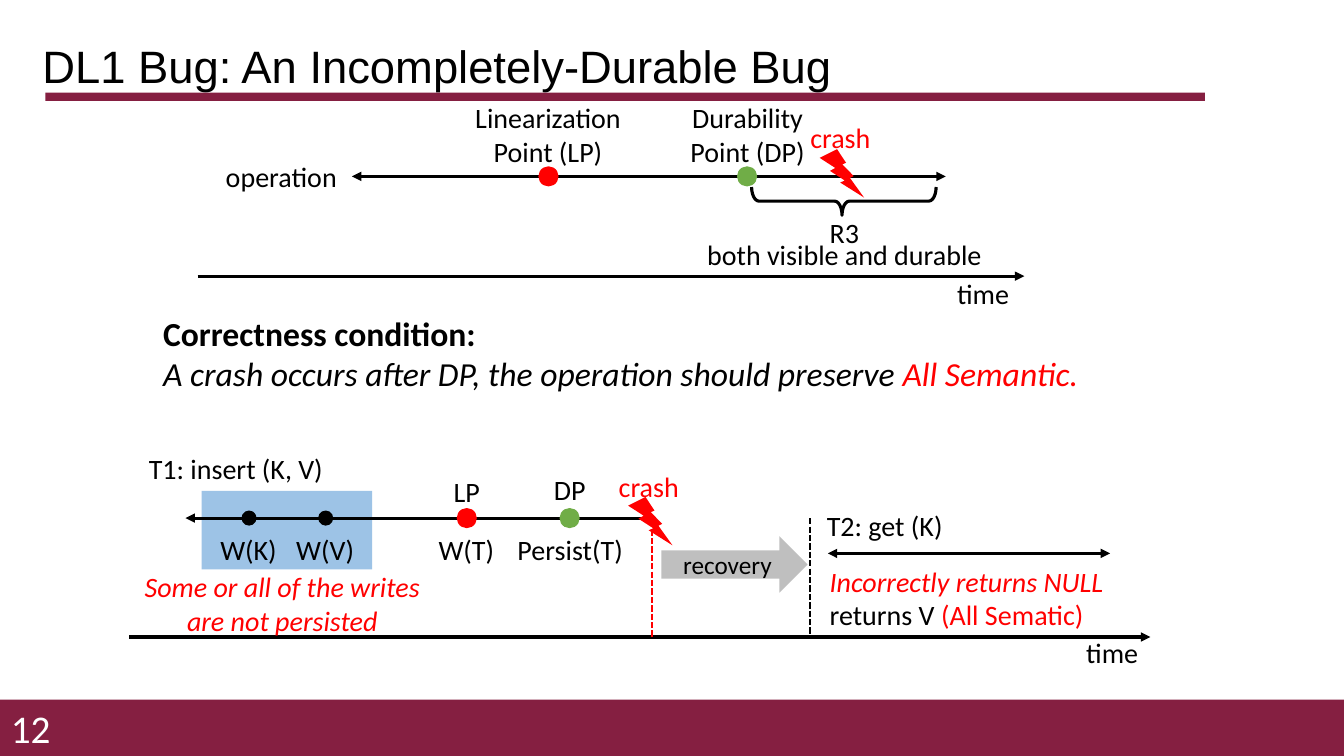
from dataclasses import dataclass

from pptx import Presentation
from pptx.dml.color import RGBColor
from pptx.enum.dml import MSO_LINE
from pptx.enum.shapes import MSO_CONNECTOR, MSO_SHAPE
from pptx.enum.text import MSO_ANCHOR, MSO_AUTO_SIZE, PP_ALIGN
from pptx.oxml.ns import qn
from pptx.util import Inches, Pt
from lxml.etree import SubElement

MAROON = RGBColor(0x85, 0x1F, 0x41)
BLACK = RGBColor(0, 0, 0)
WHITE = RGBColor(0xFF, 0xFF, 0xFF)
RED = RGBColor(0xFF, 0, 0)
GREEN = RGBColor(0x70, 0xAD, 0x47)
BLUE = RGBColor(0x9D, 0xC3, 0xE6)
GRAY = RGBColor(0xBF, 0xBF, 0xBF)

OPERATION_Y, INSERT_Y, GET_Y = 1.75, 5.14, 5.49
TIME_TOP_Y, TIME_BOTTOM_Y = 2.74, 6.32
LABEL_HEIGHT, TWO_LINE_HEIGHT = 0.44, 0.77
WRITE_Y = 5.23


@dataclass
class Span:
    text: str
    color: RGBColor = BLACK
    bold: bool = False
    italic: bool = False


@dataclass
class Label:
    spans: list[Span]
    left: float
    top: float
    width: float
    height: float = LABEL_HEIGHT
    align: PP_ALIGN = PP_ALIGN.CENTER


@dataclass
class Block:
    kind: MSO_SHAPE
    left: float
    top: float
    width: float
    height: float
    fill: RGBColor


@dataclass
class Line:
    start: tuple[float, float]
    end: tuple[float, float]
    head: bool = False
    tail: bool = False
    color: RGBColor = BLACK
    dashed: bool = False


def dot(center_x: float, center_y: float, size: float, fill: RGBColor) -> Block:
    return Block(MSO_SHAPE.OVAL, center_x - size / 2, center_y - size / 2, size, size, fill)


def write_paragraph(para, spans: list[Span], size: float,
                    align: PP_ALIGN = PP_ALIGN.LEFT, font: str = "Calibri") -> None:
    para.alignment = align
    for span in spans:
        run = para.add_run()
        run.text = span.text
        run.font.name = font
        run.font.size = Pt(size)
        run.font.bold = span.bold
        run.font.italic = span.italic
        run.font.color.rgb = span.color


def add_text_box(page, left: float, top: float, width: float, height: float):
    box = page.shapes.add_textbox(Inches(left), Inches(top), Inches(width), Inches(height))
    box.text_frame.word_wrap = True
    return box.text_frame


def draw_label(page, label: Label) -> None:
    frame = add_text_box(page, label.left, label.top, label.width, label.height)
    write_paragraph(frame.paragraphs[0], label.spans, 20, label.align)


def draw_block(page, block: Block):
    shape = page.shapes.add_shape(block.kind, Inches(block.left), Inches(block.top),
                                  Inches(block.width), Inches(block.height))
    shape.shadow.inherit = False
    shape.fill.solid()
    shape.fill.fore_color.rgb = block.fill
    shape.line.fill.background()
    return shape


def draw_line(page, line: Line) -> None:
    connector = page.shapes.add_connector(
        MSO_CONNECTOR.STRAIGHT, *(Inches(value) for value in line.start + line.end))
    connector.line.color.rgb = line.color
    connector.line.width = Pt(1.5 if line.dashed else 2.25)
    if line.dashed:
        connector.line.dash_style = MSO_LINE.SQUARE_DOT
    outline = connector.line._get_or_add_ln()
    for shown, tag in ((line.head, "a:headEnd"), (line.tail, "a:tailEnd")):
        if shown:
            SubElement(outline, qn(tag), type="triangle")
    SubElement(connector._element.spPr, qn("a:effectLst"))


BACKGROUND = [
    Block(MSO_SHAPE.RECTANGLE, 0, 6.94, 13.33, 0.56, MAROON),
    Block(MSO_SHAPE.RECTANGLE, 0.45, 0.92, 11.5, 0.08, MAROON),
    Block(MSO_SHAPE.RECTANGLE, 2, 4.87, 1.69, 0.78, BLUE),
]
LINES = [
    Line((1.96, TIME_TOP_Y), (10.16, TIME_TOP_Y), tail=True),
    Line((3.49, OPERATION_Y), (9.38, OPERATION_Y), head=True, tail=True),
    Line((1.28, TIME_BOTTOM_Y), (11.41, TIME_BOTTOM_Y), tail=True),
    Line((1.84, INSERT_Y), (6.47, INSERT_Y), head=True),
    Line((6.47, 5.17), (6.47, TIME_BOTTOM_Y), color=RED, dashed=True),
    Line((8.03, INSERT_Y), (8.03, TIME_BOTTOM_Y), dashed=True),
    Line((8.21, GET_Y), (11.01, GET_Y), head=True, tail=True),
]
MARKS = [
    dot(5.44, OPERATION_Y, 0.2, RED),
    dot(7.41, OPERATION_Y, 0.2, GREEN),
    dot(4.63, INSERT_Y, 0.2, RED),
    dot(5.65, INSERT_Y, 0.2, GREEN),
    dot(2.47, INSERT_Y, 0.15, BLACK),
    dot(3.23, INSERT_Y, 0.15, BLACK),
    Block(MSO_SHAPE.LIGHTNING_BOLT, 8.13, 1.48, 0.44, 0.48, RED),
    Block(MSO_SHAPE.LIGHTNING_BOLT, 6.23, 4.93, 0.44, 0.48, RED),
]
LABELS = [
    # Upper timeline
    Label([Span("operation")], 2.12, 1.53, 1.34),
    Label([Span("Linearization Point (LP)")], 4.59, 0.95, 1.69, TWO_LINE_HEIGHT),
    Label([Span("Durability Point (DP)")], 6.7, 0.95, 1.43, TWO_LINE_HEIGHT),
    Label([Span("crash", RED)], 7.92, 1.15, 0.83),
    Label([Span("R3")], 7.66, 2.09, 1.43),
    Label([Span("both visible and durable")], 6.52, 2.31, 3.71),
    Label([Span("time")], 9.34, 2.69, 0.82),
    # Lower timeline
    Label([Span("T1: insert (K, V)")], 1.34, 4.43, 2),
    Label([Span("LP")], 4.35, 4.66, 0.56),
    Label([Span("DP")], 5.39, 4.64, 0.52),
    Label([Span("crash", RED)], 6.02, 4.61, 0.83),
    Label([Span("W(K)")], 2.07, WRITE_Y, 0.79),
    Label([Span("W(V)")], 2.83, WRITE_Y, 0.79),
    Label([Span("W(T)")], 4.13, WRITE_Y, 0.99),
    Label([Span("Persist(T)")], 5.01, WRITE_Y, 1.29),
    Label([Span("Some or all of the writes are not persisted", RED, italic=True)],
          1.14, 5.6, 3.32, TWO_LINE_HEIGHT),
    Label([Span("T2: get (K)")], 7.95, 5, 1.65),
    Label([Span("Incorrectly returns NULL", RED, italic=True)],
          8.13, 5.55, 3.46, align=PP_ALIGN.LEFT),
    Label([Span("returns V "), Span("(All Sematic)", RED)],
          8.13, 5.88, 3.46, align=PP_ALIGN.LEFT),
    Label([Span("time")], 10.62, 6.26, 0.82),
]


def main() -> None:
    deck = Presentation()
    deck.slide_width, deck.slide_height = Inches(13.33), Inches(7.5)
    page = deck.slides.add_slide(deck.slide_layouts[5])

    for block in BACKGROUND:
        draw_block(page, block)

    # Title and page number
    title = page.shapes.title
    title.left, title.top = Inches(0.32), Inches(0.4)
    title.width, title.height = Inches(11.5), Inches(0.56)
    title.text_frame.auto_size = MSO_AUTO_SIZE.NONE
    title.text_frame.vertical_anchor = MSO_ANCHOR.MIDDLE
    heading = title.text_frame.paragraphs[0]
    heading.line_spacing = 0.9
    write_paragraph(heading, [Span("DL1 Bug: An Incompletely-Durable Bug")], 32.4, font="Arial")
    number = add_text_box(page, -0.11, 7.02, 0.71, 0.4)
    number.vertical_anchor = MSO_ANCHOR.MIDDLE
    write_paragraph(number.paragraphs[0], [Span("12", WHITE)], 28, PP_ALIGN.RIGHT)

    # Correctness condition
    condition = add_text_box(page, 1.52, 3.05, 9.34, 0.91)
    write_paragraph(condition.paragraphs[0], [Span("Correctness condition:", bold=True)], 24)
    write_paragraph(condition.add_paragraph(), [
        Span("A crash occurs after DP, the operation should preserve ", italic=True),
        Span("All Semantic.", RED, italic=True)], 24)

    # Timelines with their marks and labels
    for line in LINES:
        draw_line(page, line)
    for mark in MARKS:
        draw_block(page, mark)
    for label in LABELS:
        draw_label(page, label)

    # Brace over the range after the durability point
    brace = draw_block(page, Block(MSO_SHAPE.LEFT_BRACE, 8.23, 1.08, 0.28, 1.83, WHITE))
    brace.fill.background()
    brace.line.color.rgb = BLACK
    brace.line.width = Pt(2.25)
    brace.rotation = 270
    brace.adjustments[0], brace.adjustments[1] = 0.26, 0.49

    # Recovery arrow
    recovery = draw_block(page, Block(MSO_SHAPE.RIGHT_ARROW, 6.56, 5.32, 1.45, 0.56, GRAY))
    recovery.text_frame.vertical_anchor = MSO_ANCHOR.MIDDLE
    write_paragraph(recovery.text_frame.paragraphs[0], [Span("recovery")], 18, PP_ALIGN.CENTER)

    deck.save("out.pptx")


if __name__ == "__main__":
    main()
